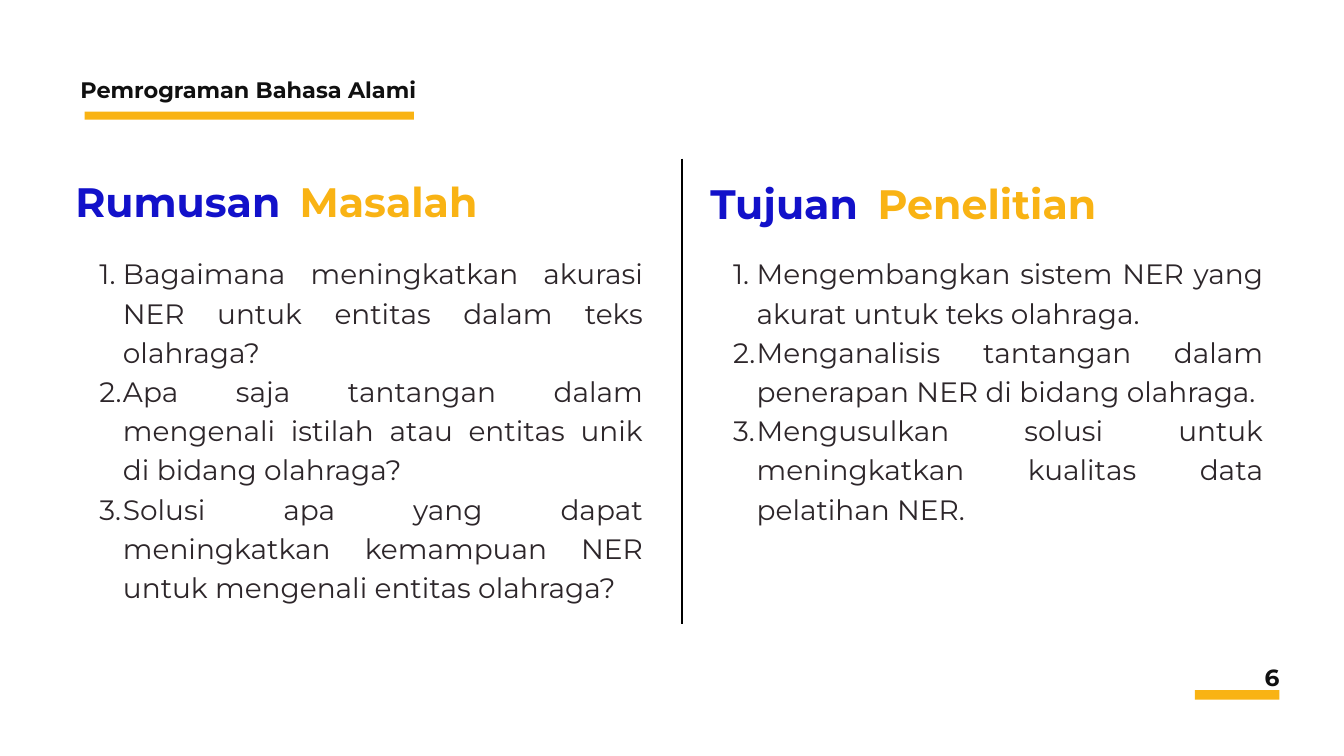
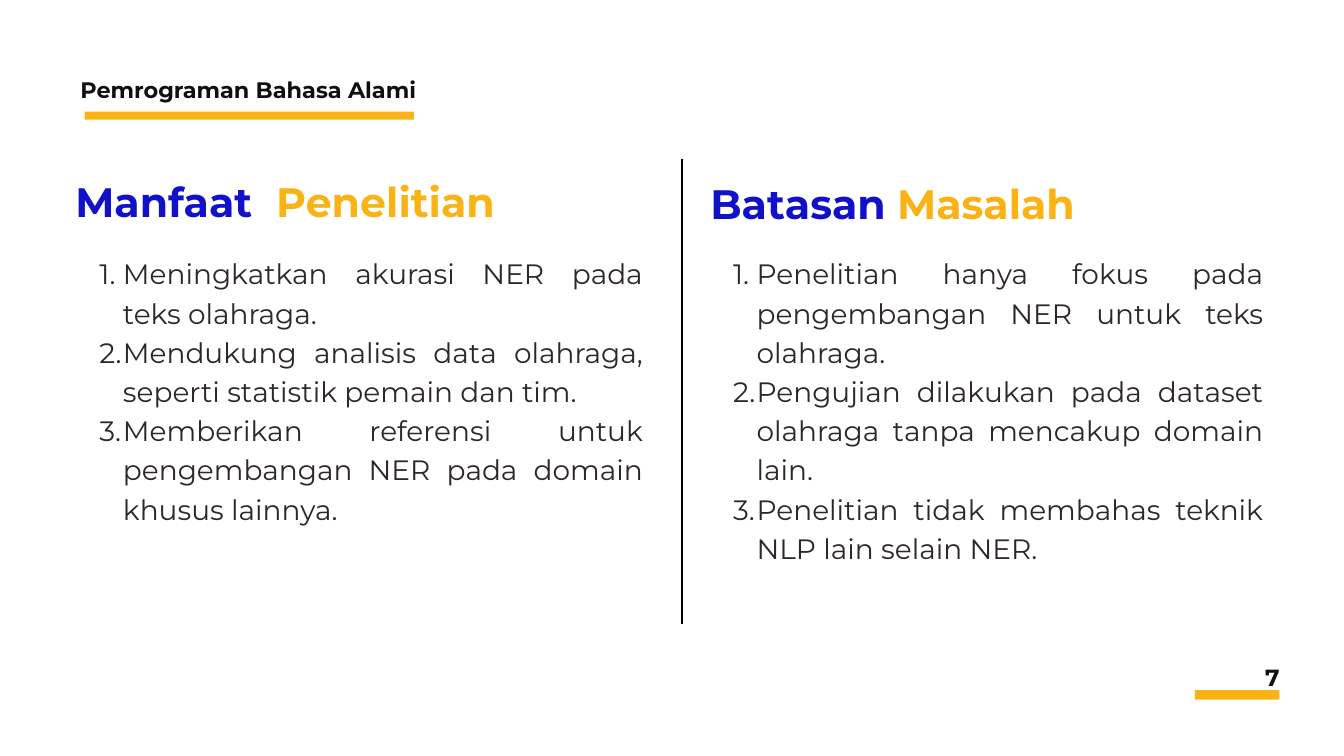
import pptx
import pptx.util
import pptx.dml.color
import pptx.enum.shapes
import pptx.enum.text
import pptx.oxml.ns
from lxml import etree

Inches, Pt = pptx.util.Inches, pptx.util.Pt
ALIGN = pptx.enum.text.PP_ALIGN

COLORS = {"blue": "1211CA", "gold": "F9B314", "ink": "101010",
          "body": "2D262A", "line": "000000"}
FONT = "Montserrat"
COMPARISON_LAYOUT = 4
COURSE = "Pemrograman Bahasa Alami"

# Column geometry: list left and width, heading left, top and height
COLUMNS = [
    {"list": (1.12, 8.45), "heading": (1.12, 2.79, 0.64)},
    {"list": (10.55, 8.25), "heading": (10.57, 2.82, 0.61)},
]

# Each column: first word, second word, left of second word, list items
SLIDES = [
    (6, [
        ("Rumusan", "Masalah", 4.46, [
            "Bagaimana meningkatkan akurasi NER untuk entitas dalam teks olahraga?",
            "Apa saja tantangan dalam mengenali istilah atau entitas unik di bidang olahraga?",
            "Solusi apa yang dapat meningkatkan kemampuan NER untuk mengenali entitas olahraga?",
        ]),
        ("Tujuan", "Penelitian", 13.06, [
            "Mengembangkan sistem NER yang akurat untuk teks olahraga.",
            "Menganalisis tantangan dalam penerapan NER di bidang olahraga.",
            "Mengusulkan solusi untuk meningkatkan kualitas data pelatihan NER.",
        ]),
    ]),
    (7, [
        ("Manfaat", "Penelitian", 4.11, [
            "Meningkatkan akurasi NER pada teks olahraga.",
            "Mendukung analisis data olahraga, seperti statistik pemain dan tim.",
            "Memberikan referensi untuk pengembangan NER pada domain khusus lainnya.",
        ]),
        ("Batasan", "Masalah", 13.35, [
            "Penelitian hanya fokus pada pengembangan NER untuk teks olahraga.",
            "Pengujian dilakukan pada dataset olahraga tanpa mencakup domain lain.",
            "Penelitian tidak membahas teknik NLP lain selain NER.",
        ]),
    ]),
]


def rgb(name):
    return pptx.dml.color.RGBColor.from_string(COLORS[name])


def place(shape, left, top, width, height):
    shape.left, shape.top = Inches(left), Inches(top)
    shape.width, shape.height = Inches(width), Inches(height)


def number_paragraph(paragraph):
    paragraph.level = 1
    props = paragraph._p.get_or_add_pPr()
    props.set("marL", str(Inches(0.71)))
    props.set("indent", str(Inches(-0.35)))
    etree.SubElement(props, pptx.oxml.ns.qn("a:buFont"), typeface=FONT)
    etree.SubElement(props, pptx.oxml.ns.qn("a:buAutoNum"), type="arabicPeriod")


def write(shape, lines, size, color, spacing, align=ALIGN.LEFT, bold=True,
          numbered=False):
    frame = shape.text_frame
    frame.word_wrap = True
    frame.auto_size = pptx.enum.text.MSO_AUTO_SIZE.NONE
    frame.vertical_anchor = pptx.enum.text.MSO_ANCHOR.TOP
    frame.margin_left = frame.margin_right = 0
    frame.margin_top = frame.margin_bottom = 0
    frame.text = "\n".join(lines)
    for paragraph in frame.paragraphs:
        paragraph.alignment = align
        paragraph.line_spacing = Pt(spacing)
        paragraph.space_before = Pt(0)
        if numbered:
            number_paragraph(paragraph)
        font = paragraph.font
        font.name, font.size, font.bold = FONT, Pt(size), bold
        font.color.rgb = rgb(color)


def add_text(slide, box, *args, **style):
    write(slide.shapes.add_textbox(*map(Inches, box)), *args, **style)


def add_bar(slide, *box):
    bar = slide.shapes.add_shape(
        pptx.enum.shapes.MSO_SHAPE.RECTANGLE, *map(Inches, box))
    bar.shadow.inherit = False
    bar.fill.solid()
    bar.fill.fore_color.rgb = rgb("gold")
    bar.line.fill.background()


def add_divider(slide):
    divider = slide.shapes.add_connector(
        pptx.enum.shapes.MSO_CONNECTOR.STRAIGHT,
        Inches(10.15), Inches(2.36), Inches(10.15), Inches(9.28))
    divider.line.color.rgb = rgb("line")
    divider.line.width = Pt(3)
    etree.SubElement(divider._element.spPr, pptx.oxml.ns.qn("a:effectLst"))


def add_frame(slide, number):
    # Running title, page number and the gold bars under them
    title = slide.shapes.title
    place(title, 1.12, 1.14, 5.07, 0.39)
    write(title, [COURSE], 24, "ink", 28.1, ALIGN.RIGHT)
    add_bar(slide, 1.26, 1.66, 4.9, 0.12)
    add_text(slide, (18.72, 9.8, 0.32, 0.47), [str(number)], 25, "ink", 35,
             align=ALIGN.RIGHT)
    add_bar(slide, 17.78, 10.27, 1.26, 0.14)
    add_divider(slide)


def add_column(slide, geometry, heading, points, content):
    first_word, second_word, second_left, items = content
    # Two-colour heading
    left, top, height = geometry["heading"]
    place(heading, left, top, second_left - left, height)
    write(heading, [first_word], 44, "blue", 41.4)
    add_text(slide, (second_left, top, 3.46, height), [second_word], 44,
             "gold", 41.4)
    # Numbered list
    left, width = geometry["list"]
    place(points, left, 3.74, width, 5.14)
    write(points, items, 30, "body", 42, ALIGN.JUSTIFY, bold=False,
          numbered=True)


def main():
    deck = pptx.Presentation()
    deck.slide_width, deck.slide_height = Inches(20), Inches(11.25)
    for number, columns in SLIDES:
        slide = deck.slides.add_slide(deck.slide_layouts[COMPARISON_LAYOUT])
        add_frame(slide, number)
        _, *column_parts = list(slide.placeholders)
        for geometry, heading, points, content in zip(
                COLUMNS, column_parts[::2], column_parts[1::2], columns):
            add_column(slide, geometry, heading, points, content)
    deck.save("out.pptx")


if __name__ == "__main__":
    main()
